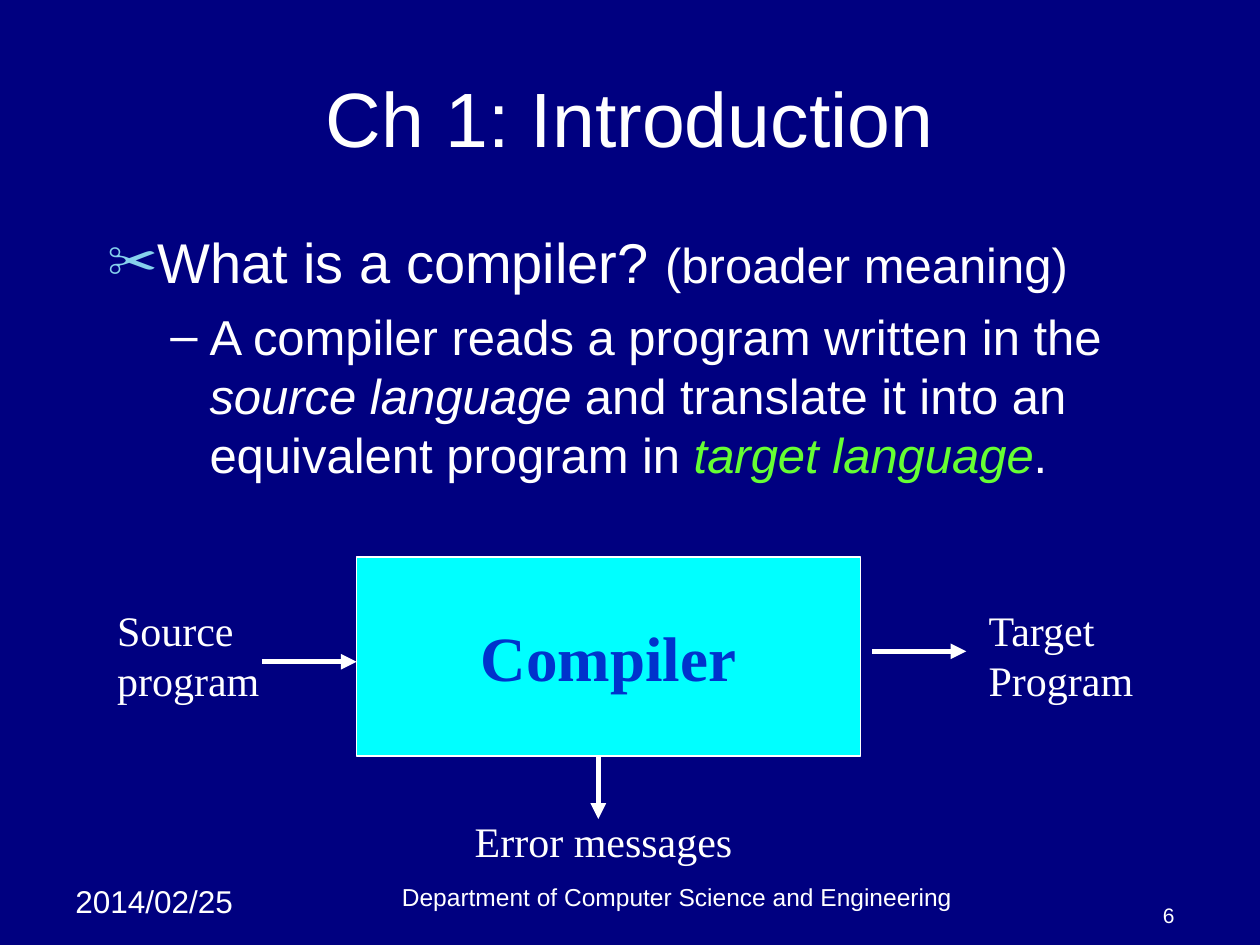
from lxml import etree
from pptx import Presentation
from pptx import util as u
from pptx.dml import color
from pptx.enum import shapes, text
from pptx.oxml import ns

INCH = 2.54  # centimetres
THEME = {
    "background": "000080", "white": "FFFFFF", "box": "00FFFF",
    "box_text": "0033CC", "bullet": "86D1EC", "accent": "66FF33",
    "sans": "Arial", "serif": "Times New Roman",
    "title": 44, "heading": 32, "detail": 28, "box_size": 36, "label": 24,
    "date": 18, "footer": 14, "number": 12,
}
SANS = {"name": THEME["sans"], "color": "white"}
SERIF = {"name": THEME["serif"], "color": "white", "size": "label"}


def write(shape, paragraphs, style, align="LEFT", anchor="TOP", wrap=True):
    """Fill a shape with paragraphs, each a list of (wording, changes to style)."""
    frame = shape.text_frame
    frame.auto_size = text.MSO_AUTO_SIZE.NONE
    frame.word_wrap = wrap
    frame.vertical_anchor = text.MSO_ANCHOR[anchor]
    for index, runs in enumerate(paragraphs):
        paragraph = frame.add_paragraph() if index else frame.paragraphs[0]
        paragraph.alignment = text.PP_ALIGN[align]
        for wording, changes in runs:
            run = paragraph.add_run()
            run.text = wording
            for name, value in {**style, **changes}.items():
                if name == "color":
                    run.font.color.rgb = color.RGBColor.from_string(THEME[value])
                elif name == "size":
                    run.font.size = u.Pt(THEME[value])
                else:
                    setattr(run.font, name, value)


def place(*inches):
    return [u.Cm(round(value * INCH, 2)) for value in inches]


presentation = Presentation()
presentation.slide_width, presentation.slide_height = place(10, 7.5)
slide = presentation.slides.add_slide(presentation.slide_layouts[1])
slide.background.fill.solid()
slide.background.fill.fore_color.rgb = color.RGBColor.from_string(THEME["background"])

# Title and body placeholders
title, body = slide.placeholders
title.left, title.top, title.width, title.height = place(0.5, 0.3, 9, 1.25)
body.left, body.top, body.width, body.height = place(0.75, 1.75, 8.5, 5.42)
write(title, [[("Ch 1: Introduction", {})]], {**SANS, "size": "title"}, "CENTER", "MIDDLE")
write(body, [
    [("What is a compiler? ", {"size": "heading"}), ("(broader meaning)", {})],
    [("A compiler reads a program written in the ", {}),
     ("source language", {"italic": True}),
     (" and translate it into an equivalent program in ", {}),
     ("target language", {"italic": True, "color": "accent"}),
     (".", {})],
], {**SANS, "size": "detail"})

# Bullets: level, left margin, hanging indent, space before, colour, size, sign
bullets = [(0, 0.38, 0.38, 0, "bullet", 90, "✂"), (1, 0.81, 0.31, 7, "white", 100, "–")]
for paragraph, (level, margin, hanging, before, tint, percent, sign) in zip(
        body.text_frame.paragraphs, bullets):
    paragraph.level = level
    paragraph.space_before = u.Pt(before)
    properties = paragraph._p.get_or_add_pPr()
    left, indent = place(margin, -hanging)
    properties.set("marL", str(int(left)))
    properties.set("indent", str(int(indent)))
    bullet_color = etree.SubElement(properties, ns.qn("a:buClr"))
    etree.SubElement(bullet_color, ns.qn("a:srgbClr"), val=THEME[tint])
    etree.SubElement(properties, ns.qn("a:buSzPct"), val=str(percent * 1000))
    etree.SubElement(properties, ns.qn("a:buChar"), char=sign)

# Compiler box
box = slide.shapes.add_shape(shapes.MSO_SHAPE.RECTANGLE, *place(2.83, 4.42, 4, 1.58))
box.shadow.inherit = False
box.fill.solid()
box.fill.fore_color.rgb = color.RGBColor.from_string(THEME["box"])
box.line.color.rgb = color.RGBColor.from_string(THEME["white"])
box.line.width = u.Pt(1)
write(box, [[("Compiler", {})]],
      {**SERIF, "size": "box_size", "color": "box_text", "bold": True},
      "CENTER", "MIDDLE", wrap=False)

# Diagram labels, date, footer and slide number
labels = [
    ((0.83, 4.75, 1.42, 0.9), ["Source", "program"], SERIF, "LEFT", "TOP"),
    ((7.75, 4.75, 1.58, 0.9), ["Target", "Program"], SERIF, "LEFT", "TOP"),
    ((3.67, 6.42, 2.42, 0.5), ["Error messages"], SERIF, "LEFT", "TOP"),
    ((0.5, 6.95, 1.58, 0.4), ["2014/02/25"], {**SANS, "size": "date"}, "LEFT", "TOP"),
    ((2, 6.95, 6.75, 0.33), ["Department of Computer Science and Engineering"],
     {**SANS, "size": "footer"}, "CENTER", "BOTTOM"),
    ((8.75, 7.08, 0.67, 0.33), ["6"], {**SANS, "size": "number"}, "RIGHT", "BOTTOM"),
]
for area, lines, style, align, anchor in labels:
    label = slide.shapes.add_textbox(*place(*area))
    write(label, [[(line, {})] for line in lines], style, align, anchor)

# Arrows into and out of the compiler
for ends in [(2.08, 5.25, 2.83, 5.25), (6.92, 5.17, 7.67, 5.17), (4.75, 6, 4.75, 6.5)]:
    arrow = slide.shapes.add_connector(shapes.MSO_CONNECTOR.STRAIGHT, *place(*ends))
    arrow.line.color.rgb = color.RGBColor.from_string(THEME["white"])
    arrow.line.width = u.Pt(3)
    etree.SubElement(arrow.line._get_or_add_ln(), ns.qn("a:tailEnd"), type="triangle")
    etree.SubElement(arrow._element.spPr, ns.qn("a:effectLst"))

presentation.save("out.pptx")
